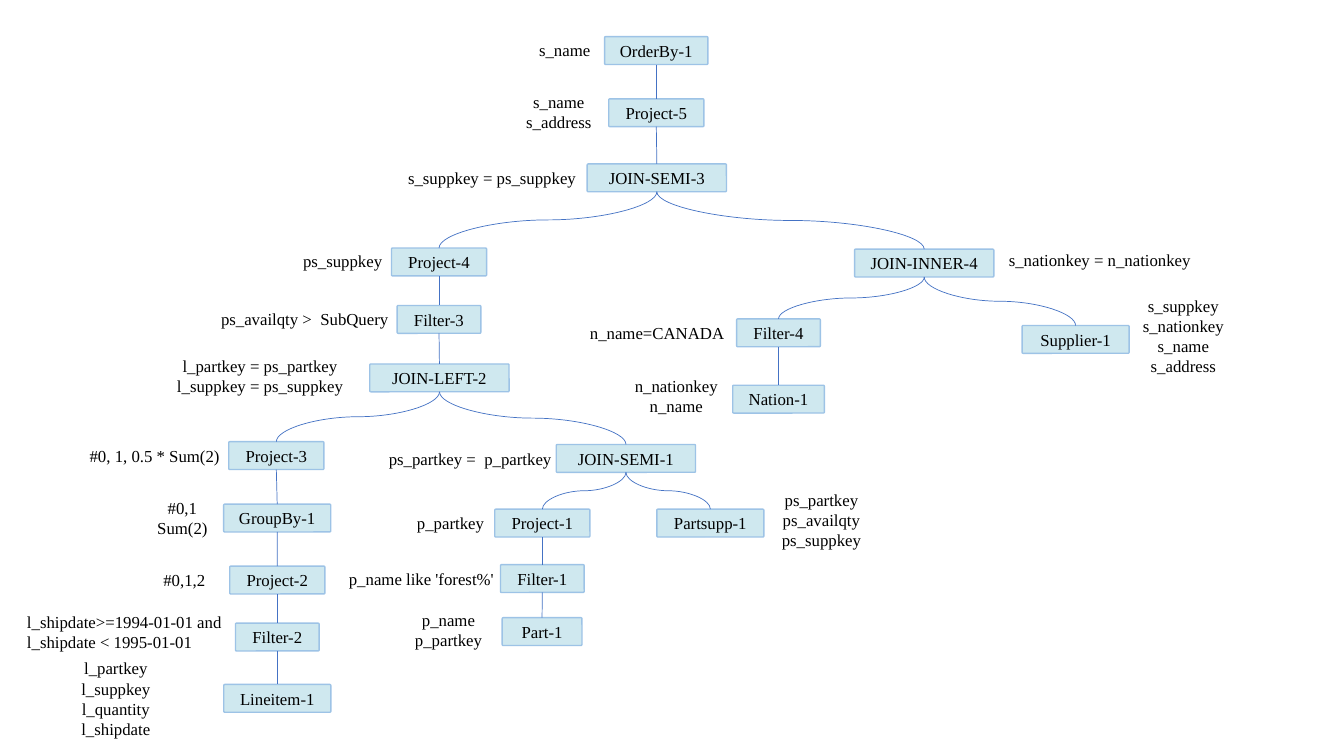
"""Build a slide that shows a query plan as a tree of operators."""
from dataclasses import dataclass

import pptx
import pptx.dml.color
import pptx.enum.shapes
import pptx.enum.text
import pptx.oxml
import pptx.presentation
import pptx.shapes.autoshape
import pptx.slide
import pptx.util

Pt = pptx.util.Pt
Align = pptx.enum.text.PP_ALIGN
Connector = pptx.enum.shapes.MSO_CONNECTOR

FONT, FONT_SIZE = "Times New Roman", 12
BLACK, NODE_FILL, NODE_LINE, EDGE_COLOR = "000000", "CFE8EF", "9DC3E6", "4472C4"
NODE_HEIGHT, LINE_HEIGHT, INSETS = 19.9, 14.6, 7.2


@dataclass(frozen=True)
class Node:
    name: str
    center: float
    top: float
    width: float
    parent: str = ""


@dataclass(frozen=True)
class Label:
    lines: tuple[str, ...]
    left: float
    top: float
    width: float
    align: Align = Align.CENTER


NODES = (
    Node("OrderBy-1", 468.8, 26.2, 73.8),
    Node("Project-5", 468.8, 70.6, 68, "OrderBy-1"),
    Node("JOIN-SEMI-3", 469.2, 117.1, 99.5, "Project-5"),
    Node("Project-4", 313.6, 177.2, 68, "JOIN-SEMI-3"),
    Node("Filter-3", 313.6, 218.2, 59.8, "Project-4"),
    Node("JOIN-LEFT-2", 313.9, 260, 99.5, "Filter-3"),
    Node("Project-3", 197.4, 315.5, 68, "JOIN-LEFT-2"),
    Node("GroupBy-1", 198, 360.1, 76.5, "Project-3"),
    Node("Project-2", 198.1, 404.4, 68, "GroupBy-1"),
    Node("Filter-2", 198.1, 445.1, 59.8, "Project-2"),
    Node("Lineitem-1", 198.1, 488.9, 76.5, "Filter-2"),
    Node("JOIN-SEMI-1", 447.1, 317.5, 99.5, "JOIN-LEFT-2"),
    Node("Project-1", 387.4, 363.7, 68, "JOIN-SEMI-1"),
    Node("Filter-1", 387.4, 403.3, 59.8, "Project-1"),
    Node("Part-1", 387.2, 441.2, 57, "Filter-1"),
    Node("Partsupp-1", 507.4, 363.7, 76.5, "JOIN-SEMI-1"),
    Node("JOIN-INNER-4", 660.2, 178, 99.5, "JOIN-SEMI-3"),
    Node("Filter-4", 556.1, 227.8, 59.8, "JOIN-INNER-4"),
    Node("Nation-1", 556.1, 275.2, 65.5, "Filter-4"),
    Node("Supplier-1", 768.3, 232.5, 76.5, "JOIN-INNER-4"),
)

LABELS = (
    Label(("s_name",), 378, 24.5, 53.3, Align.LEFT),
    Label(("s_name", "s_address"), 365, 61.9, 68.4),
    Label(("s_suppkey = ps_suppkey",), 284.4, 116.6, 135.4, Align.LEFT),
    Label(("ps_suppkey",), 205.2, 175.7, 79.2),
    Label(("ps_availqty >  SubQuery",), 149, 216.7, 137.5),
    Label(("l_partkey = ps_partkey", "l_suppkey = ps_suppkey"), 118.1, 250.6, 135.4),
    Label(("#0, 1, 0.5 * Sum(2)",), 54.7, 314.6, 111.6),
    Label(("#0,1", "Sum(2)"), 100.8, 352.1, 59),
    Label(("#0,1,2",), 102.2, 403.2, 59),
    Label(("l_shipdate>=1994-01-01 and", "l_shipdate < 1995-01-01"),
          12.2, 433.4, 159.1, Align.LEFT),
    Label(("l_partkey", "l_suppkey", "l_quantity", "l_shipdate"), 43.2, 466.6, 79.2),
    Label(("ps_partkey =  p_partkey",), 267.1, 316.8, 137.5),
    Label(("p_partkey",), 288, 362.9, 67.7),
    Label(("p_name like 'forest%'",), 233.3, 402.5, 135.4),
    Label(("p_name", "p_partkey"), 280.8, 432, 79.2),
    Label(("ps_partkey", "ps_availqty", "ps_suppkey"), 547.2, 346.3, 79.2),
    Label(("s_nationkey = n_nationkey",), 713.5, 175, 147.6, Align.LEFT),
    Label(("n_name=CANADA",), 411.1, 226.8, 116.6),
    Label(("n_nationkey", "n_name"), 443.5, 265, 79.2),
    Label(("s_suppkey", "s_nationkey", "s_name", "s_address"), 805.7, 207.4, 79.2),
)


def color(value: str) -> pptx.dml.color.RGBColor:
    """Turn a hex string into a colour."""
    return pptx.dml.color.RGBColor.from_string(value)


def write_lines(shape: pptx.shapes.autoshape.Shape, lines: tuple[str, ...],
                align: Align) -> None:
    """Write each line as a paragraph with one run."""
    frame = shape.text_frame
    frame.word_wrap = True
    for index, line in enumerate(lines):
        paragraph = frame.add_paragraph() if index else frame.paragraphs[0]
        paragraph.alignment = align
        run = paragraph.add_run()
        run.text = line
        run.font.name = FONT
        run.font.size = Pt(FONT_SIZE)
        run.font.color.rgb = color(BLACK)


def draw_node(slide: pptx.slide.Slide, node: Node) -> pptx.shapes.autoshape.Shape:
    """Draw one operator box."""
    shape = slide.shapes.add_shape(
        pptx.enum.shapes.MSO_SHAPE.ROUNDED_RECTANGLE,
        Pt(node.center - node.width / 2), Pt(node.top), Pt(node.width), Pt(NODE_HEIGHT))
    shape.adjustments[0] = 0.04
    shape.shadow.inherit = False
    shape.fill.solid()
    shape.fill.fore_color.rgb = color(NODE_FILL)
    shape.line.color.rgb = color(NODE_LINE)
    shape.line.width = Pt(1)
    shape.text_frame.vertical_anchor = pptx.enum.text.MSO_ANCHOR.MIDDLE
    write_lines(shape, (node.name,), Align.CENTER)
    return shape


def draw_edge(slide: pptx.slide.Slide, parent: Node, child: Node,
              shapes: dict[str, pptx.shapes.autoshape.Shape]) -> None:
    """Join a parent to its child, with a curve where the child is off to one side."""
    start = parent.top + NODE_HEIGHT
    across, down = child.center - parent.center, child.top - start
    curved = abs(across) > 1
    edge = slide.shapes.add_connector(
        Connector.CURVE if curved else Connector.STRAIGHT,
        Pt(parent.center), Pt(start), Pt(child.center), Pt(child.top))
    edge.begin_connect(shapes[parent.name], 2)
    edge.end_connect(shapes[child.name], 0)
    edge.line.color.rgb = color(EDGE_COLOR)
    edge.line.width = Pt(0.5)
    properties = edge._element.spPr
    properties.append(pptx.oxml.parse_xml(
        '<a:effectLst xmlns:a="http://schemas.openxmlformats.org/drawingml/2006/main"/>'))
    if curved:
        to_right = across > 0
        properties.xfrm.set("rot", "16200000" if to_right else "5400000")
        properties.xfrm.set("flipH", "1" if to_right else "0")
        edge.left = Pt(parent.center + across / 2 - down / 2)
        edge.top = Pt(start + down / 2 - abs(across) / 2)
        edge.width, edge.height = Pt(down), Pt(abs(across))


def draw_label(slide: pptx.slide.Slide, label: Label) -> None:
    """Draw the text beside an operator."""
    height = len(label.lines) * LINE_HEIGHT + INSETS
    box = slide.shapes.add_textbox(
        Pt(label.left), Pt(label.top), Pt(label.width), Pt(height))
    write_lines(box, label.lines, label.align)
    box.text_frame.auto_size = pptx.enum.text.MSO_AUTO_SIZE.SHAPE_TO_FIT_TEXT


def main() -> None:
    """Draw the plan and save it."""
    presentation = pptx.Presentation()
    presentation.slide_width, presentation.slide_height = Pt(960), Pt(540)
    slide = presentation.slides.add_slide(presentation.slide_layouts[6])
    nodes = {node.name: node for node in NODES}
    shapes = {node.name: draw_node(slide, node) for node in NODES}
    for node in NODES:
        if node.parent:
            draw_edge(slide, nodes[node.parent], node, shapes)
    for label in LABELS:
        draw_label(slide, label)
    presentation.save("out.pptx")


if __name__ == "__main__":
    main()
